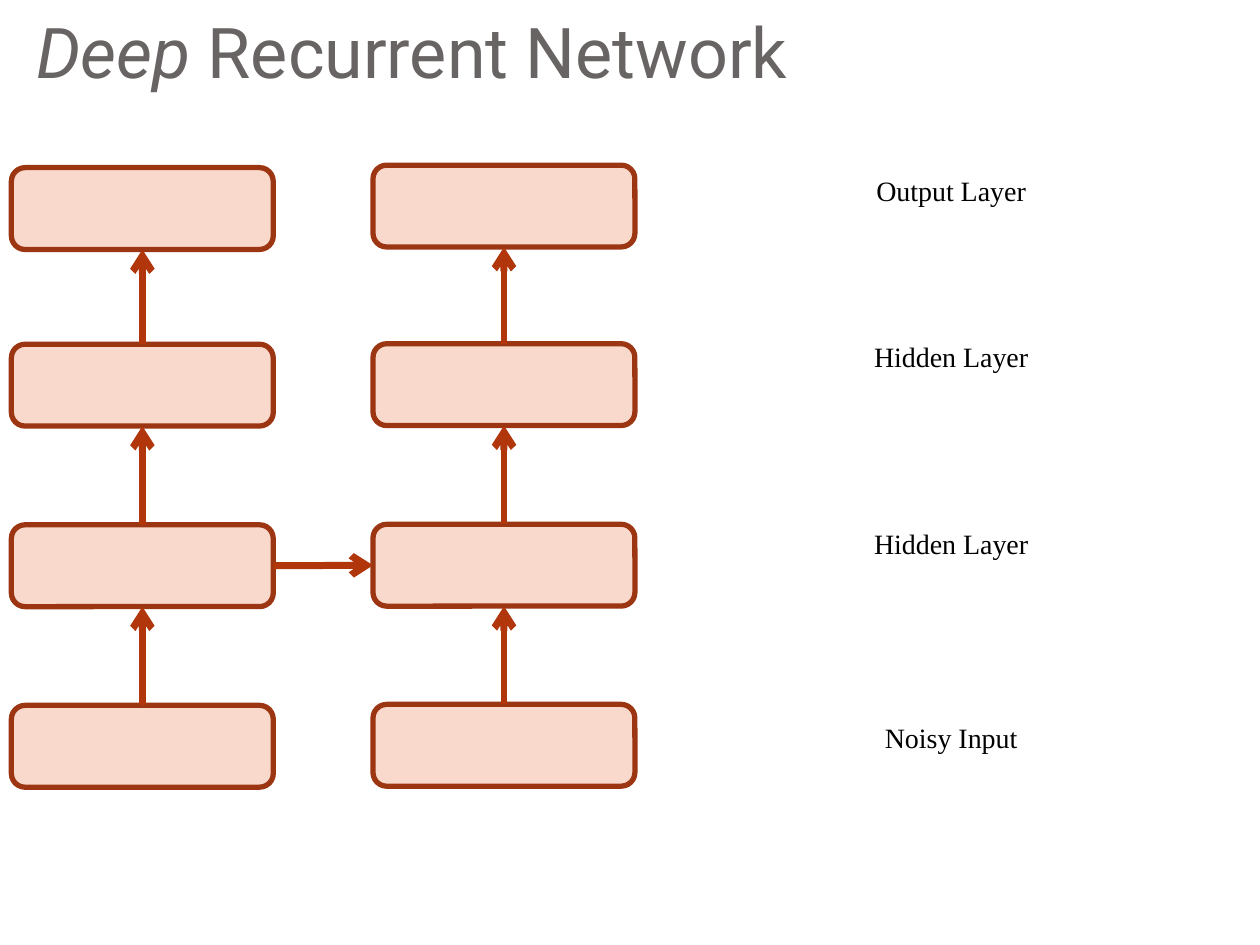
from lxml import etree
from pptx import Presentation
from pptx.dml.color import RGBColor
from pptx.enum import shapes as kinds, text as txt
from pptx.oxml import ns
from pptx.util import Cm, Pt

TITLE_GREY = RGBColor(0x69, 0x64, 0x64)
LAYER_FILL = RGBColor(0xFA, 0xD9, 0xCD)
LAYER_EDGE = RGBColor(0x9C, 0x35, 0x11)
ARROW_RED = RGBColor(0xB1, 0x36, 0x0B)
BLACK = RGBColor(0, 0, 0)

TITLE_FONT = {"name": "Roboto", "size": Pt(40)}
LABEL_FONT = {"name": "Times New Roman", "size": Pt(16)}
LABELS = [("Output Layer", 3.38), ("Hidden Layer", 6.73),
          ("Hidden Layer", 10.49), ("Noisy Input", 14.4)]
TOP, BOTTOM, LEFT, RIGHT = 0, 2, 1, 3  # connection sites of a layer box
RECURRENT_LAYER = 2


def add_run(paragraph, words, color, formats):
    run = paragraph.add_run()
    run.text = words
    run.font.color.rgb = color
    for attribute, value in formats.items():
        setattr(run.font, attribute, value)


def add_title(slide, left, top, width, height):
    frame = slide.shapes.add_textbox(Cm(left), Cm(top), Cm(width), Cm(height)).text_frame
    settings = {"word_wrap": True, "vertical_anchor": txt.MSO_ANCHOR.BOTTOM,
                "margin_bottom": Cm(0.25)}
    for attribute, value in settings.items():
        setattr(frame, attribute, value)
    for words, italic in [("Deep ", True), ("Recurrent Network", False)]:
        add_run(frame.paragraphs[0], words, TITLE_GREY, {**TITLE_FONT, "italic": italic})


def add_layer(slide, left, top, width, height):
    layer = slide.shapes.add_shape(kinds.MSO_SHAPE.ROUNDED_RECTANGLE,
                                   Cm(left), Cm(top), Cm(width), Cm(height))
    layer.shadow.inherit = False
    layer.fill.solid()
    layer.fill.fore_color.rgb = LAYER_FILL
    layer.line.color.rgb = LAYER_EDGE
    layer.line.width = Pt(3)
    return layer


def add_arrow(slide, source, source_site, target, target_site):
    arrow = slide.shapes.add_connector(kinds.MSO_CONNECTOR.STRAIGHT, 0, 0, 0, 0)
    arrow.begin_connect(source, source_site)
    arrow.end_connect(target, target_site)
    arrow.line.color.rgb = ARROW_RED
    arrow.line.width = Pt(4)
    etree.SubElement(arrow.line._get_or_add_ln(), ns.qn("a:tailEnd"), type="arrow")
    etree.SubElement(arrow._element.spPr, ns.qn("a:effectLst"))


def add_time_step(slide, left, tops, width, height):
    """Stack the layers of one time step, each feeding the one above it."""
    layers = [add_layer(slide, left, top, width, height) for top in tops]
    for upper, lower in zip(layers, layers[1:]):
        add_arrow(slide, lower, TOP, upper, BOTTOM)
    return layers


def add_labels(slide, left, width, height):
    for words, top in LABELS:
        frame = slide.shapes.add_textbox(Cm(left), Cm(top), Cm(width), Cm(height)).text_frame
        frame.word_wrap = True
        frame.auto_size = txt.MSO_AUTO_SIZE.SHAPE_TO_FIT_TEXT
        paragraph = frame.paragraphs[0]
        paragraph.alignment = txt.PP_ALIGN.CENTER
        add_run(paragraph, words, BLACK, LABEL_FONT)


def main():
    deck = Presentation()
    deck.slide_width, deck.slide_height = Cm(25.4), Cm(19.05)
    slide = deck.slides.add_slide(deck.slide_layouts[6])
    add_title(slide, 0.48, 0, 24.46, 2.11)
    first = add_time_step(slide, 0.23, [3.38, 6.94, 10.58, 14.22], 5.28, 1.65)
    second = add_time_step(slide, 7.52, [3.33, 6.93, 10.57, 14.2], 5.28, 1.65)
    add_arrow(slide, first[RECURRENT_LAYER], RIGHT, second[RECURRENT_LAYER], LEFT)
    add_labels(slide, 17.17, 4.01, 1.02)
    deck.save("out.pptx")


if __name__ == "__main__":
    main()
